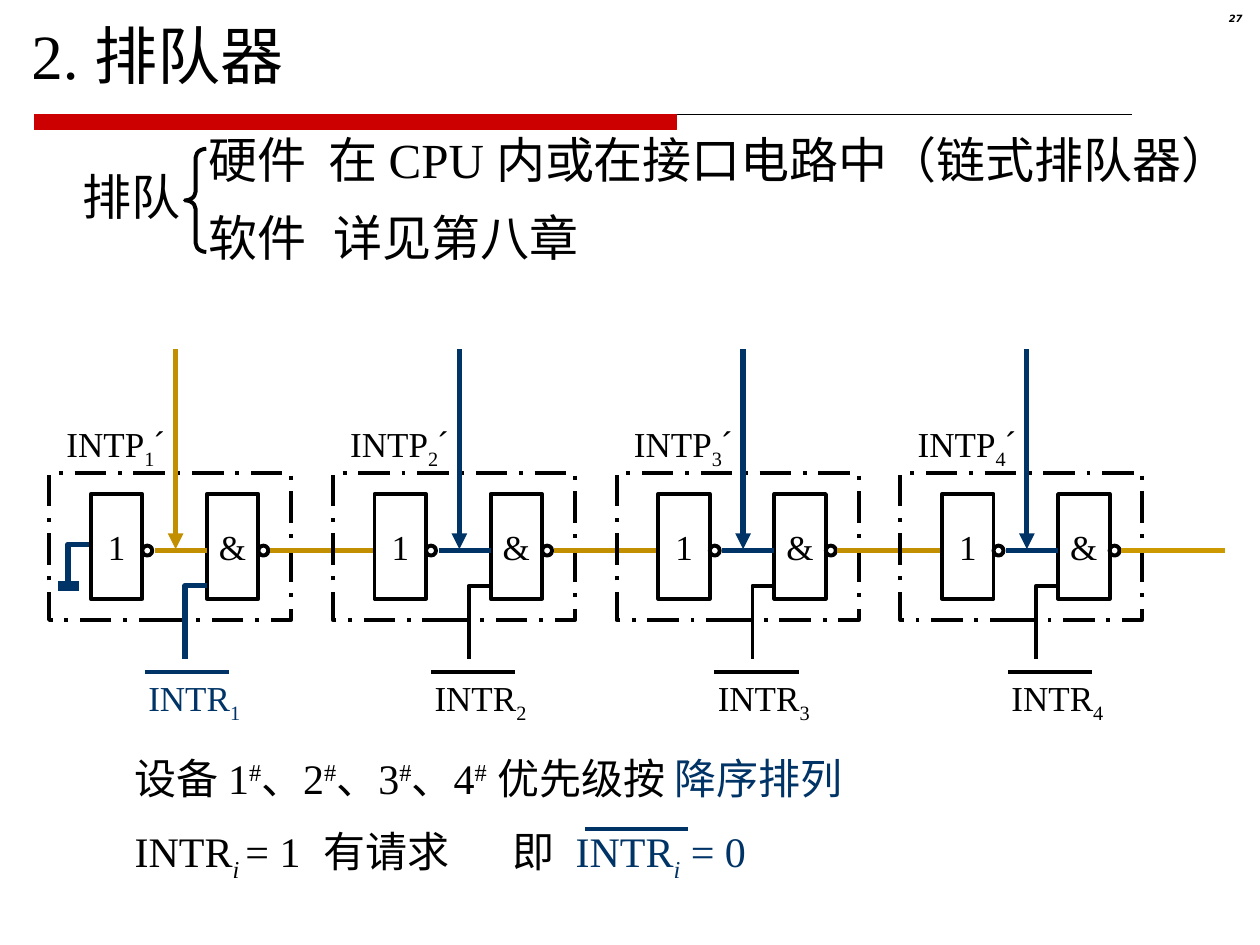
from lxml import etree
from pptx import Presentation
from pptx import util as u
from pptx.dml.color import RGBColor
from pptx.enum import dml, shapes, text
from pptx.oxml import ns

BLACK, NAVY, GOLD, PALE_GOLD, RED = "000000", "003366", "C28F00", "CC9900", "CC0000"
SUB, SUPER = -25000, 30000


def rgb(value):
    return RGBColor.from_string(value)


def add_xml(parent, tag, **attributes):
    return etree.SubElement(parent, ns.qn(tag), attributes)


class Board:
    font = "Times New Roman"

    def __init__(self, slide):
        self.slide = slide

    def fill_text(self, frame, paragraphs, size, gap=0, align=text.PP_ALIGN.LEFT,
                  font=None, emphasis=None, tabs=()):
        frame.word_wrap = True
        frame.auto_size = text.MSO_AUTO_SIZE.NONE
        for index, runs in enumerate(paragraphs):
            line = frame.paragraphs[0] if index == 0 else frame.add_paragraph()
            properties = line._p.get_or_add_pPr()
            properties.set("marL", "0")
            properties.set("indent", "0")
            add_xml(properties, "a:buNone")
            if tabs:
                stops = add_xml(properties, "a:tabLst")
                for stop in tabs:
                    add_xml(stops, "a:tab", pos=str(u.Cm(stop)), algn="l")
            line.alignment = align
            line.space_before = u.Pt(gap if index else 0)
            line.font.name = font or self.font
            line.font.size = u.Pt(size)
            line.font.bold = line.font.italic = emphasis
            for words, color, *style in runs:
                run = line.add_run()
                run.text = words
                run.font.color.rgb = rgb(color)
                for item in style:
                    if item == "italic":
                        run.font.italic = True
                    elif isinstance(item, int):
                        run._r.get_or_add_rPr().set("baseline", str(item))
                    else:
                        run.font.name = item

    def place(self, holder, box, paragraphs, size, **style):
        holder.left, holder.top, holder.width, holder.height = map(u.Cm, box)
        holder.text_frame.vertical_anchor = text.MSO_ANCHOR.TOP
        self.fill_text(holder.text_frame, paragraphs, size, **style)

    def label(self, box, runs, size, **style):
        frame = self.slide.shapes.add_textbox(*map(u.Cm, box)).text_frame
        self.fill_text(frame, [runs], size, **style)

    def stroke(self, line, color, width):
        line.color.rgb = rgb(color)
        line.width = u.Pt(width)

    def shape(self, kind, box, fill=None, color=BLACK, width=2.25):
        item = self.slide.shapes.add_shape(kind, *map(u.Cm, box))
        item.shadow.inherit = False
        if fill:
            item.fill.solid()
            item.fill.fore_color.rgb = rgb(fill)
        else:
            item.fill.background()
        self.stroke(item.line, color, width)
        return item

    def gate(self, box, symbol):
        frame = self.shape(shapes.MSO_SHAPE.RECTANGLE, box).text_frame
        frame.margin_left = frame.margin_right = 0
        frame.vertical_anchor = text.MSO_ANCHOR.MIDDLE
        self.fill_text(frame, [[(symbol, BLACK)]], 20, align=text.PP_ALIGN.CENTER)

    def wire(self, start, end, color, width, arrow=False):
        item = self.slide.shapes.add_connector(
            shapes.MSO_CONNECTOR.STRAIGHT, *map(u.Cm, start + end))
        self.stroke(item.line, color, width)
        if arrow:
            add_xml(item.line._get_or_add_ln(), "a:tailEnd", type="triangle")
        add_xml(item._element.spPr, "a:effectLst")

    def bend(self, points, color, width):
        start, *rest = [tuple(map(u.Cm, point)) for point in points]
        builder = self.slide.shapes.build_freeform(*start)
        builder.add_line_segments(rest, close=False)
        item = builder.convert_to_shape()
        item.shadow.inherit = False
        item.fill.background()
        self.stroke(item.line, color, width)


def draw_heading(board):
    board.wire((0.69, 2.31), (22.81, 2.31), BLACK, 0.75)
    board.shape(shapes.MSO_SHAPE.RECTANGLE, (0.69, 2.31, 12.95, 0.3), RED, RED, 0.75)
    board.label((23.8, 0.13, 1.5, 0.58), [("27", BLACK)], 5.7, font="DejaVu Sans",
                align=text.PP_ALIGN.RIGHT, emphasis=True)
    board.place(board.slide.shapes.title, (0.38, 0.2, 6.2, 1.78),
                [[("2. 排队器", BLACK)]], 36)


def draw_methods(board):
    for x, y, width, words in (
        (1.42, 3.23, 2.6, "排队"),
        (3.96, 2.49, 2.6, "硬件"),
        (6.38, 2.49, 19.3, "在 CPU 内或在接口电路中（链式排队器）"),
        (3.96, 4.06, 2.6, "软件"),
        (6.48, 4.06, 11.86, "详见第八章"),
    ):
        board.label((x, y, width, 1.45), [(words, BLACK)], 28)
    brace = board.shape(shapes.MSO_SHAPE.LEFT_BRACE, (3.73, 3, 0.43, 2.08))
    brace.adjustments[0] = 0.41


def draw_stage(board, number, left, request_left):
    first, last = number == 1, number == 4
    signal = GOLD if first else NAVY
    request, request_width = (NAVY, 3) if first else (BLACK, 2.25)
    wire_y = 11.1

    board.label((left + 0.1, 8.4, 2.6, 1.22),
                [("INTP", BLACK), (str(number), BLACK, SUB), ("´", BLACK, "Arial")], 20)
    frame = board.shape(shapes.MSO_SHAPE.RECTANGLE, (left, 9.53, 4.88, 2.97))
    frame.line.dash_style = dml.MSO_LINE.LONG_DASH_DOT

    for offset, symbol in ((0.84, "1"), (3.18, "&")):
        board.gate((left + offset, 9.96, 1.04, 2.11), symbol)
        board.shape(shapes.MSO_SHAPE.OVAL,
                    (left + offset + 1.04, wire_y - 0.1, 0.2, 0.2))

    board.wire((left + 2.55, 7.04), (left + 2.55, 11.07), signal, 3, arrow=True)
    board.wire((left + 2.13, wire_y), (left + 3.18, wire_y), signal, 3)
    board.wire((left + 4.45, wire_y), (left + 6.55, wire_y),
               PALE_GOLD if last else GOLD, 3)
    board.bend([(left + 3.18, 11.81), (left + 2.74, 11.81), (left + 2.74, 13.28)],
               request, request_width)
    board.label((request_left, 13.51, 2.4, 1.22),
                [("INTR", request), (str(number), request, SUB)], 20)
    board.wire((request_left + 0.18, 13.54), (request_left + 1.88, 13.54), request, 2.25)


def draw_chain(board):
    for index, request_left in enumerate((2.74, 8.51, 14.22, 20.14)):
        draw_stage(board, index + 1, 0.99 + 5.72 * index, request_left)
    board.bend([(1.8, 10.97), (1.37, 10.97), (1.37, 11.81)], NAVY, 3)
    board.wire((1.17, 11.81), (1.6, 11.81), NAVY, 6)


def draw_notes(board):
    devices = []
    for lead in ("设备 1", "、2", "、3", "、4"):
        devices += [(lead, BLACK), ("#", BLACK, SUPER)]
    devices += [(" 优先级按 ", BLACK), ("降序排列", NAVY)]
    condition = [("INTR", BLACK), ("i ", BLACK, "italic", SUB),
                 ("= 1\t有请求\t即\t", BLACK), ("INTR", NAVY),
                 ("i", NAVY, "italic", SUB), (" = 0", NAVY)]
    board.place(board.slide.placeholders[1], (2.46, 15.04, 20.32, 3),
                [devices, condition], 24, gap=13, tabs=(4, 7.7, 9.08))
    board.wire((11.79, 16.71), (13.87, 16.71), NAVY, 2.25)


def main():
    deck = Presentation()
    deck.slide_width, deck.slide_height = u.Cm(25.4), u.Cm(19.05)
    board = Board(deck.slides.add_slide(deck.slide_layouts[1]))
    draw_heading(board)
    draw_methods(board)
    draw_chain(board)
    draw_notes(board)
    deck.save("out.pptx")


if __name__ == "__main__":
    main()
